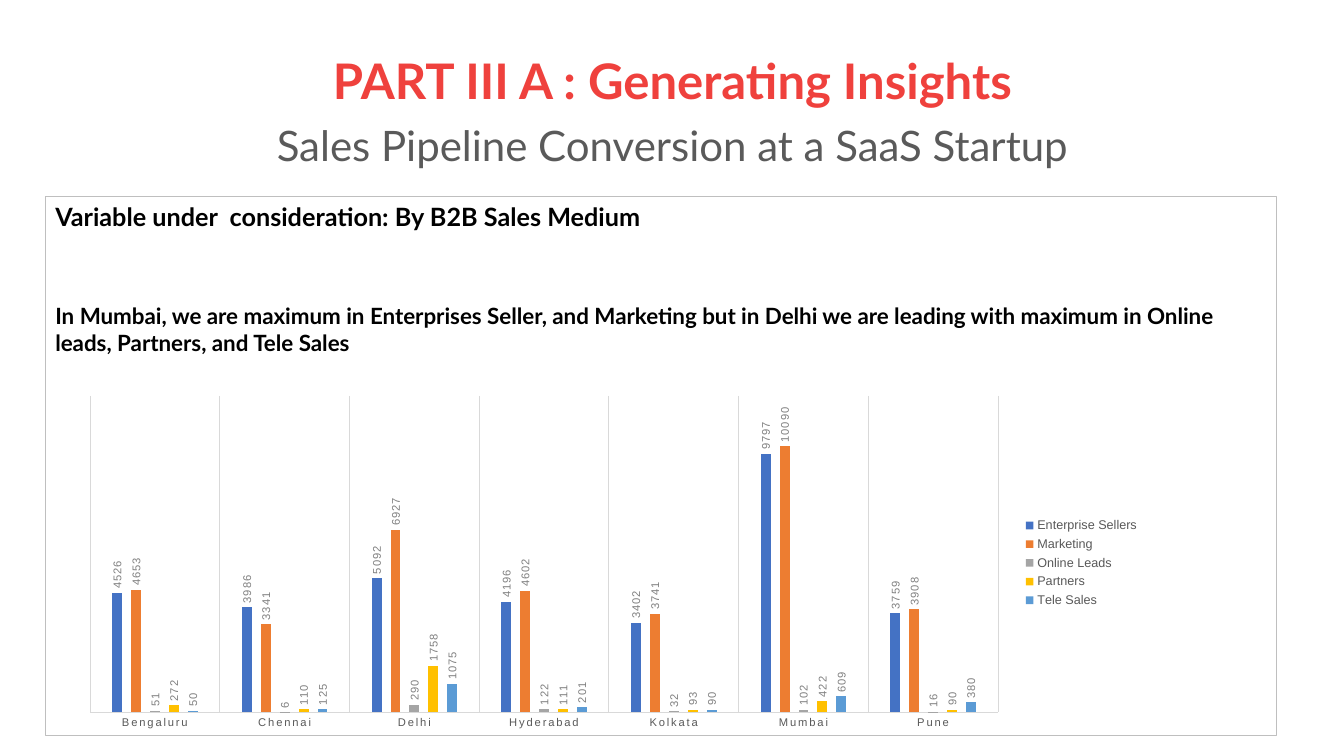
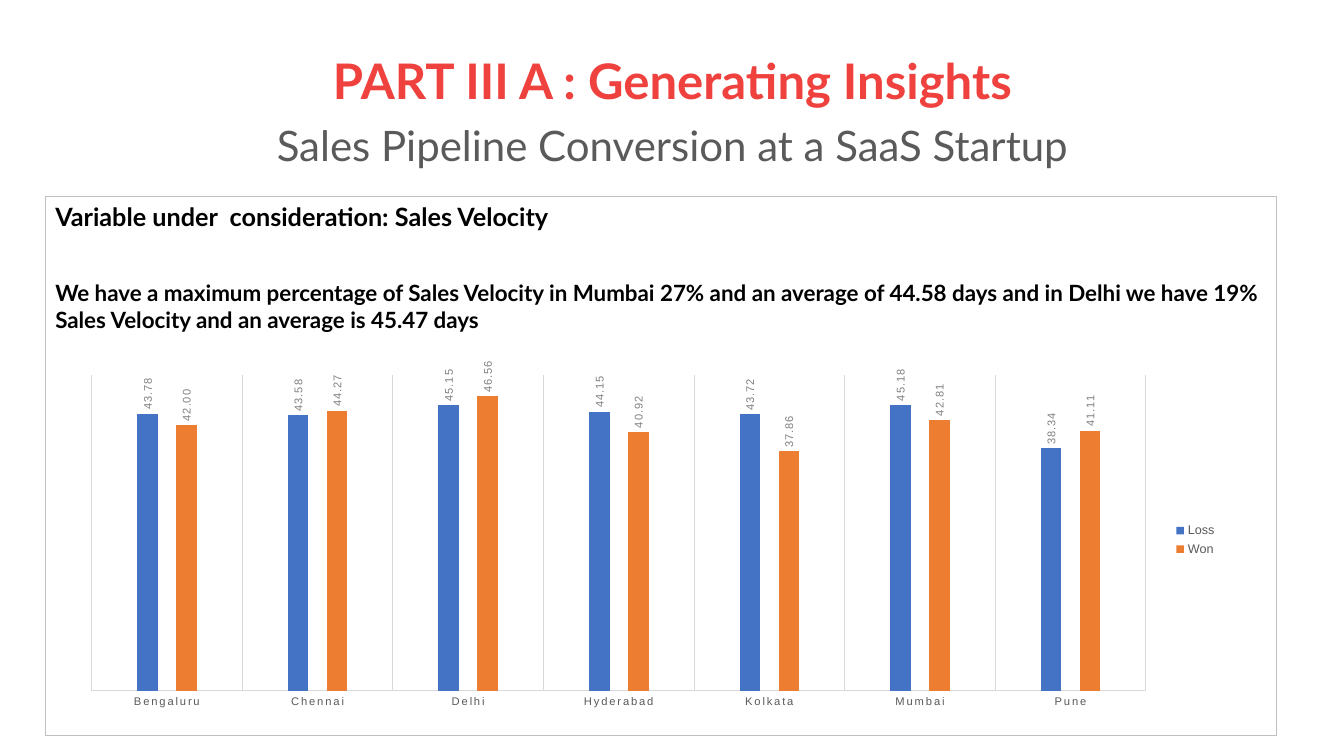
"""Build two insight slides, each with a framed finding and a column chart by city."""
from lxml.etree import SubElement
from pptx import Presentation
from pptx.chart.data import CategoryChartData
from pptx.dml.color import RGBColor
from pptx.enum.chart import XL_CHART_TYPE as ChartType
from pptx.enum.chart import XL_LABEL_POSITION as LabelPosition
from pptx.enum.chart import XL_LEGEND_POSITION as LegendPosition
from pptx.enum.chart import XL_TICK_MARK as TickMark
from pptx.enum.shapes import MSO_SHAPE as Shape
from pptx.enum.text import MSO_ANCHOR as Anchor
from pptx.enum.text import PP_ALIGN as Align
from pptx.oxml import parse_xml
from pptx.oxml.ns import nsdecls, qn
from pptx.util import Inches, Pt

BLACK = RGBColor(0x00, 0x00, 0x00)
RED = RGBColor(0xEF, 0x41, 0x3D)
SUBTITLE_GREY = RGBColor(0x5A, 0x5A, 0x5A)
AXIS_GREY = RGBColor(0x59, 0x59, 0x59)
LABEL_GREY = RGBColor(0x80, 0x80, 0x80)
FRAME_GREY = RGBColor(0xBF, 0xBF, 0xBF)
GRID_GREY = RGBColor(0xD9, 0xD9, 0xD9)
SERIES_COLORS = [
    RGBColor(0x44, 0x72, 0xC4),
    RGBColor(0xED, 0x7D, 0x31),
    RGBColor(0xA5, 0xA5, 0xA5),
    RGBColor(0xFF, 0xC0, 0x00),
    RGBColor(0x5B, 0x9B, 0xD5),
]
TEXT_FONT = "Lato"
CHART_FONT = "Arial"
TITLE = "PART III A : Generating Insights"
SUBTITLE = "Sales Pipeline Conversion at a SaaS Startup"
CITIES = ["Bengaluru", "Chennai", "Delhi", "Hyderabad", "Kolkata", "Mumbai", "Pune"]

SLIDES = [
    {
        "variable": "By B2B Sales Medium",
        "finding": "In Mumbai, we are maximum in Enterprises Seller, and Marketing but in Delhi "
                   "we are leading with maximum in Online leads, Partners, and Tele Sales",
        "gap": 50.4,
        "chart": {
            "box": (0.68, 3.86, 10.72, 3.45),
            "plot_area": (0.02, 0.02, 0.84, 0.91),
            "maximum": 12000,
            "number_format": "General",
            "series": {
                "Enterprise Sellers": [4526, 3986, 5092, 4196, 3402, 9797, 3759],
                "Marketing": [4653, 3341, 6927, 4602, 3741, 10090, 3908],
                "Online Leads": [51, 6, 290, 122, 32, 102, 16],
                "Partners": [272, 110, 1758, 111, 93, 422, 90],
                "Tele Sales": [50, 125, 1075, 201, 90, 609, 380],
            },
        },
    },
    {
        "variable": "Sales Velocity",
        "finding": "We have a maximum percentage of Sales Velocity in Mumbai 27% and an average of "
                   "44.58 days and in Delhi we have 19% Sales Velocity and an average is 45.47 days",
        "gap": 33.6,
        "chart": {
            "box": (0.68, 3.58, 11.49, 3.52),
            "plot_area": (0.02, 0.03, 0.91, 0.9),
            "maximum": 50,
            "number_format": "0.00",
            "series": {
                "Loss": [43.78, 43.58, 45.15, 44.15, 43.72, 45.18, 38.34],
                "Won": [42, 44.27, 46.56, 40.92, 37.86, 42.81, 41.11],
            },
        },
    },
]


def style_font(font, size, color, name=CHART_FONT, bold=False):
    font.size, font.name, font.bold = Pt(size), name, bold
    font.color.rgb = color


def write(para, text, size, color=BLACK, bold=True, align=Align.LEFT, before=0, spacing=1.0):
    para.alignment, para.space_before, para.line_spacing = align, Pt(before), spacing
    span = para.add_run()
    span.text = text
    style_font(span.font, size, color, TEXT_FONT, bold)


def set_line(line, color):
    line.color.rgb = color
    line.width = Pt(0.75)


def space_letters(labels, spacing, rotation=0):
    text_style = labels._element.find(qn("c:txPr"))
    body = text_style.find(qn("a:bodyPr"))
    body.set("rot", str(rotation * 60000))
    body.set("vert", "horz")
    text_style.find(f".//{qn('a:defRPr')}").set("spc", str(spacing))


def place_plot_area(chart, fractions):
    plot_area = chart.element.find(f".//{qn('c:plotArea')}")
    for layout in plot_area.findall(qn("c:layout")):
        plot_area.remove(layout)
    layout = parse_xml(f"<c:layout {nsdecls('c')}><c:manualLayout/></c:layout>")
    settings = [("layoutTarget", "inner"), ("xMode", "edge"), ("yMode", "edge")]
    for tag, value in settings + list(zip("xywh", fractions)):
        SubElement(layout[0], qn(f"c:{tag}")).set("val", str(value))
    plot_area.insert(0, layout)


class InsightDeck:
    """Holds the shared slide style and the page being filled."""

    def __init__(self):
        self.deck = Presentation()
        self.deck.slide_width, self.deck.slide_height = Inches(13.33), Inches(7.5)
        self.page = None

    def add_page(self):
        self.page = self.deck.slides.add_slide(self.deck.slide_layouts[5])

    def add_title(self):
        box = self.page.shapes.title
        box.left, box.top, box.width, box.height = map(Inches, (0.92, 0.4, 11.5, 1.45))
        frame = box.text_frame
        frame.vertical_anchor = Anchor.MIDDLE
        write(frame.paragraphs[0], TITLE, 35, RED, align=Align.CENTER, spacing=0.9)
        write(frame.add_paragraph(), SUBTITLE, 30, SUBTITLE_GREY, bold=False,
              align=Align.CENTER, before=10.8, spacing=0.9)

    def add_panel(self, variable, finding, gap):
        box = self.page.shapes.add_shape(
            Shape.RECTANGLE, *map(Inches, (0.45, 1.95, 12.21, 5.35)))
        box.shadow.inherit = False
        box.fill.background()
        set_line(box.line, FRAME_GREY)
        frame = box.text_frame
        frame.word_wrap = True
        frame.vertical_anchor = Anchor.TOP
        write(frame.paragraphs[0], f"Variable under  consideration: {variable}", 18)
        write(frame.add_paragraph(), finding, 16, before=gap)

    def add_columns(self, box, plot_area, maximum, number_format, series):
        data = CategoryChartData(number_format=number_format)
        data.categories = CITIES
        for name, values in series.items():
            data.add_series(name, values)
        chart = self.page.shapes.add_chart(
            ChartType.COLUMN_CLUSTERED, *map(Inches, box), data).chart
        style_font(chart.font, 10, BLACK)
        chart.has_title = False
        chart.has_legend = True
        chart.legend.position = LegendPosition.RIGHT
        chart.legend.include_in_layout = False
        style_font(chart.legend.font, 9, AXIS_GREY)
        self.style_axes(chart, maximum)
        self.style_series(chart.plots[0], number_format)
        place_plot_area(chart, plot_area)

    def style_axes(self, chart, maximum):
        values = chart.value_axis
        values.minimum_scale, values.maximum_scale = 0, maximum
        values.has_major_gridlines = False
        values.visible = False
        cities = chart.category_axis
        cities.major_tick_mark = cities.minor_tick_mark = TickMark.NONE
        cities.has_major_gridlines = True
        for line in (cities.format.line, cities.major_gridlines.format.line):
            set_line(line, GRID_GREY)
        style_font(cities.tick_labels.font, 8, AXIS_GREY)
        space_letters(cities, 120)

    def style_series(self, plot, number_format):
        plot.gap_width, plot.overlap = 444, -90
        plot.vary_by_categories = False
        for series, color in zip(plot.series, SERIES_COLORS):
            series.format.fill.solid()
            series.format.fill.fore_color.rgb = color
            labels = series.data_labels
            labels.show_value = True
            labels.position = LabelPosition.OUTSIDE_END
            labels.number_format = number_format
            labels.number_format_is_linked = False
            style_font(labels.font, 8, LABEL_GREY)
            space_letters(labels, 50, rotation=-90)

    def save(self):
        self.deck.save("out.pptx")


def main():
    insights = InsightDeck()
    for slide in SLIDES:
        insights.add_page()
        insights.add_title()
        insights.add_panel(slide["variable"], slide["finding"], slide["gap"])
        insights.add_columns(**slide["chart"])
    insights.save()


if __name__ == "__main__":
    main()
